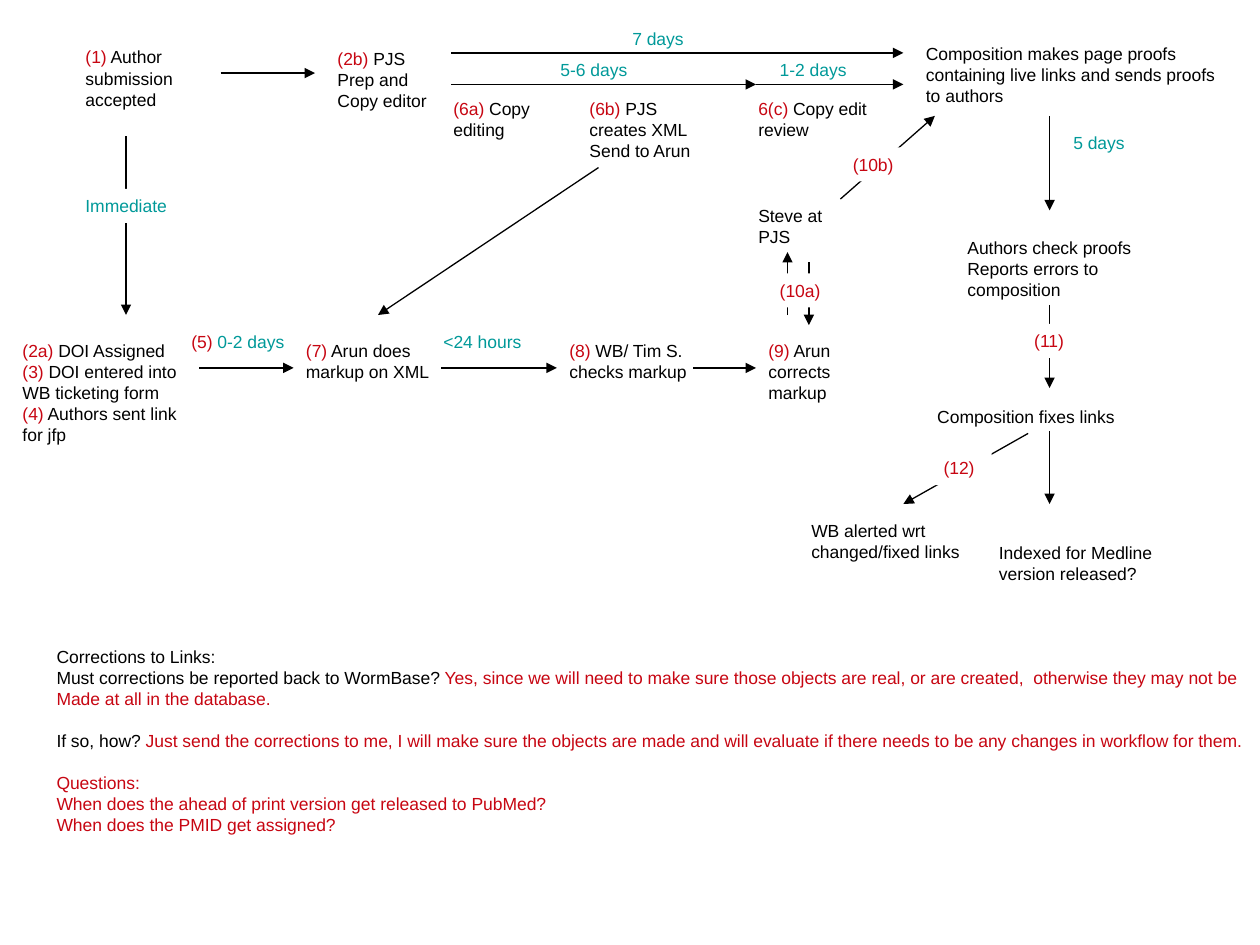
import pptx
import pptx.dml.color
import pptx.enum.shapes
import pptx.enum.text
import pptx.oxml
import pptx.oxml.ns
import pptx.util
from pptx.util import Inches

BLACK = "000000"
RED = "C70612"
TEAL = "009999"
WHITE = "FFFFFF"
FONT_FORMAT = {"name": "Arial", "size": pptx.util.Pt(10)}
ONE_LINE = 0.27
TWO_LINES = 0.44
THREE_LINES = 0.6
TOP_ROW = 0.73
MARKUP_ROW = 2.65
MARKUP_ARROW = 2.92
COMPOSITION_AXIS = 8.33


def color(hex_value):
    return pptx.dml.color.RGBColor.from_string(hex_value)


def step(number, text):
    return [(number, RED), (f" {text}", BLACK)]


def plain(text, hex_value=BLACK):
    return [(text, hex_value)]


STEPS = [
    (0.58, 0.32, 0.92, THREE_LINES, [step("(1)", "Author submission accepted")]),
    (0.08, MARKUP_ROW, 1.58, 0.94, [
        step("(2a)", "DOI Assigned"),
        step("(3)", "DOI entered into WB ticketing form"),
        step("(4)", "Authors sent link for jfp"),
    ]),
    (2.58, 0.33, 1.08, THREE_LINES, [step("(2b)", "PJS"), plain("Prep and Copy editor")]),
    (3.5, TOP_ROW, 0.83, TWO_LINES, [step("(6a)", "Copy editing")]),
    (4.58, TOP_ROW, 1.08, THREE_LINES, [step("(6b)", "PJS creates XML"), plain("Send to Arun")]),
    (5.92, TOP_ROW, 1.17, TWO_LINES, [step("6(c)", "Copy edit review")]),
    (2.33, MARKUP_ROW, 1.25, TWO_LINES, [step("(7)", "Arun does markup on XML")]),
    (4.42, MARKUP_ROW, 1.25, TWO_LINES, [step("(8)", "WB/ Tim S. checks markup")]),
    (6, MARKUP_ROW, 0.75, THREE_LINES, [step("(9)", "Arun corrects markup")]),
    (5.92, 1.58, 0.9, TWO_LINES, [plain("Steve at PJS")]),
    (7.25, 0.29, 2.58, THREE_LINES, [
        plain("Composition makes page proofs"),
        plain("containing live links and sends proofs to authors"),
    ]),
    (7.58, 1.83, 1.56, THREE_LINES, [
        plain("Authors check proofs"),
        plain("Reports errors to composition"),
    ]),
    (7.83, 4.25, 1.5, TWO_LINES, [plain("Indexed for Medline version released?")]),
    (1.42, 2.58, 1, ONE_LINE, [[("(5) ", RED), ("0-2 days", TEAL)]]),
    (3.42, 2.58, 0.92, ONE_LINE, [plain("<24 hours", TEAL)]),
]

DURATIONS = [
    (4.92, 0.17, 0.64, "7 days"),
    (4.35, 0.42, 0.76, "5-6 days"),
    (6.09, 0.42, 0.76, "1-2 days"),
    (8.42, 1, 0.64, "5 days"),
]

ARROWS = [
    (1.75, 0.58, 2.5, 0.58),
    (1, 1.08, 1, 2.5),
    (3.58, 0.42, 7.17, 0.42),
    (3.58, 0.67, 6, 0.67),
    (6, 0.67, 7.17, 0.67),
    (4.75, 1.33, 3, 2.5),
    (1.58, MARKUP_ARROW, 2.33, MARKUP_ARROW),
    (3.5, MARKUP_ARROW, 4.42, MARKUP_ARROW),
    (5.5, MARKUP_ARROW, 6, MARKUP_ARROW),
    (6.25, 2.5, 6.25, 2),
    (6.42, 2.08, 6.42, 2.58),
    (6.67, 1.58, 7.42, 0.92),
    (COMPOSITION_AXIS, 0.92, COMPOSITION_AXIS, 1.67),
    (COMPOSITION_AXIS, 2.42, COMPOSITION_AXIS, 3.08),
    (COMPOSITION_AXIS, 3.42, COMPOSITION_AXIS, 4),
]

ARROW_LABELS = [
    (6.09, 2.17, 0.56, "(10a)", RED),
    (6.67, 1.17, 0.56, "(10b)", RED),
    (7.39, 3.58, 0.48, "(12)", RED),
    (8.11, 2.57, 0.48, "(11)", RED),
    (0.58, 1.5, 0.9, "Immediate", TEAL),
]

NOTES = [
    plain("Corrections to Links:"),
    [
        ("Must corrections be reported back to WormBase? ", BLACK),
        ("Yes, since we will need to make sure those objects are real, or are created,  "
         "otherwise they may not be", RED),
    ],
    plain("Made at all in the database.", RED),
    [
        ("If so, how? ", BLACK),
        ("Just send the corrections to me, I will make sure the objects are made and will "
         "evaluate if there needs to be any changes in workflow for them.", RED),
    ],
    plain("Questions:", RED),
    plain("When does the ahead of print version get released to PubMed?", RED),
    plain("When does the PMID get assigned?", RED),
]
NOTE_SECTION_STARTS = (3, 4)


def apply_format(target, values):
    for name, value in values.items():
        setattr(target, name, value)


def write_text(shape, paragraphs, wrap):
    frame = shape.text_frame
    apply_format(frame, {
        "word_wrap": wrap,
        "auto_size": pptx.enum.text.MSO_AUTO_SIZE.SHAPE_TO_FIT_TEXT,
        "vertical_anchor": pptx.enum.text.MSO_ANCHOR.TOP,
    })
    for index, pieces in enumerate(paragraphs):
        paragraph = frame.add_paragraph() if index else frame.paragraphs[0]
        paragraph.alignment = pptx.enum.text.PP_ALIGN.LEFT
        for text, hex_value in pieces:
            run = paragraph.add_run()
            run.text = text
            apply_format(run.font, FONT_FORMAT)
            run.font.color.rgb = color(hex_value)


def add_text(slide, left, top, width, height, paragraphs, wrap=True):
    shape = slide.shapes.add_textbox(Inches(left), Inches(top), Inches(width), Inches(height))
    write_text(shape, paragraphs, wrap)
    return shape


def add_arrow_label(slide, left, top, width, text, hex_value):
    shape = slide.shapes.add_shape(
        pptx.enum.shapes.MSO_SHAPE.RECTANGLE,
        Inches(left), Inches(top), Inches(width), Inches(ONE_LINE))
    shape.shadow.inherit = False
    shape.fill.solid()
    shape.fill.fore_color.rgb = color(WHITE)
    shape.line.fill.background()
    write_text(shape, [plain(text, hex_value)], False)


def add_arrow(slide, *ends):
    connector = slide.shapes.add_connector(
        pptx.enum.shapes.MSO_CONNECTOR.STRAIGHT, *map(Inches, ends))
    connector.line.color.rgb = color(BLACK)
    connector.line.width = pptx.util.Pt(0.75)
    head = pptx.oxml.parse_xml(
        f'<a:tailEnd {pptx.oxml.ns.nsdecls("a")} type="triangle"/>')
    connector.line._get_or_add_ln().append(head)
    connector._element.spPr.append(
        pptx.oxml.parse_xml(f'<a:effectLst {pptx.oxml.ns.nsdecls("a")}/>'))
    return connector


def add_notes(slide):
    notes = add_text(slide, 0.35, 5.08, 9.65, 1.6, NOTES, False)
    for index in NOTE_SECTION_STARTS:
        notes.text_frame.paragraphs[index].space_before = pptx.util.Pt(12)


def main():
    presentation = pptx.Presentation()
    presentation.slide_width = Inches(10)
    presentation.slide_height = Inches(7.5)
    slide = presentation.slides.add_slide(presentation.slide_layouts[6])
    add_notes(slide)
    for values in STEPS:
        add_text(slide, *values)
    for left, top, width, text in DURATIONS:
        add_text(slide, left, top, width, ONE_LINE, [plain(text, TEAL)], False)
    fixes = add_text(slide, 7.34, 3.17, 1.64, ONE_LINE, [plain("Composition fixes links")], False)
    add_text(slide, 6.34, 4.08, 1.45, TWO_LINES,
             [plain("WB alerted wrt"), plain("changed/fixed links")], False)
    for ends in ARROWS:
        add_arrow(slide, *ends)
    add_arrow(slide, 8.17, 3.42, 7.17, 4).begin_connect(fixes, 2)
    for values in ARROW_LABELS:
        add_arrow_label(slide, *values)
    presentation.save("out.pptx")


if __name__ == "__main__":
    main()
